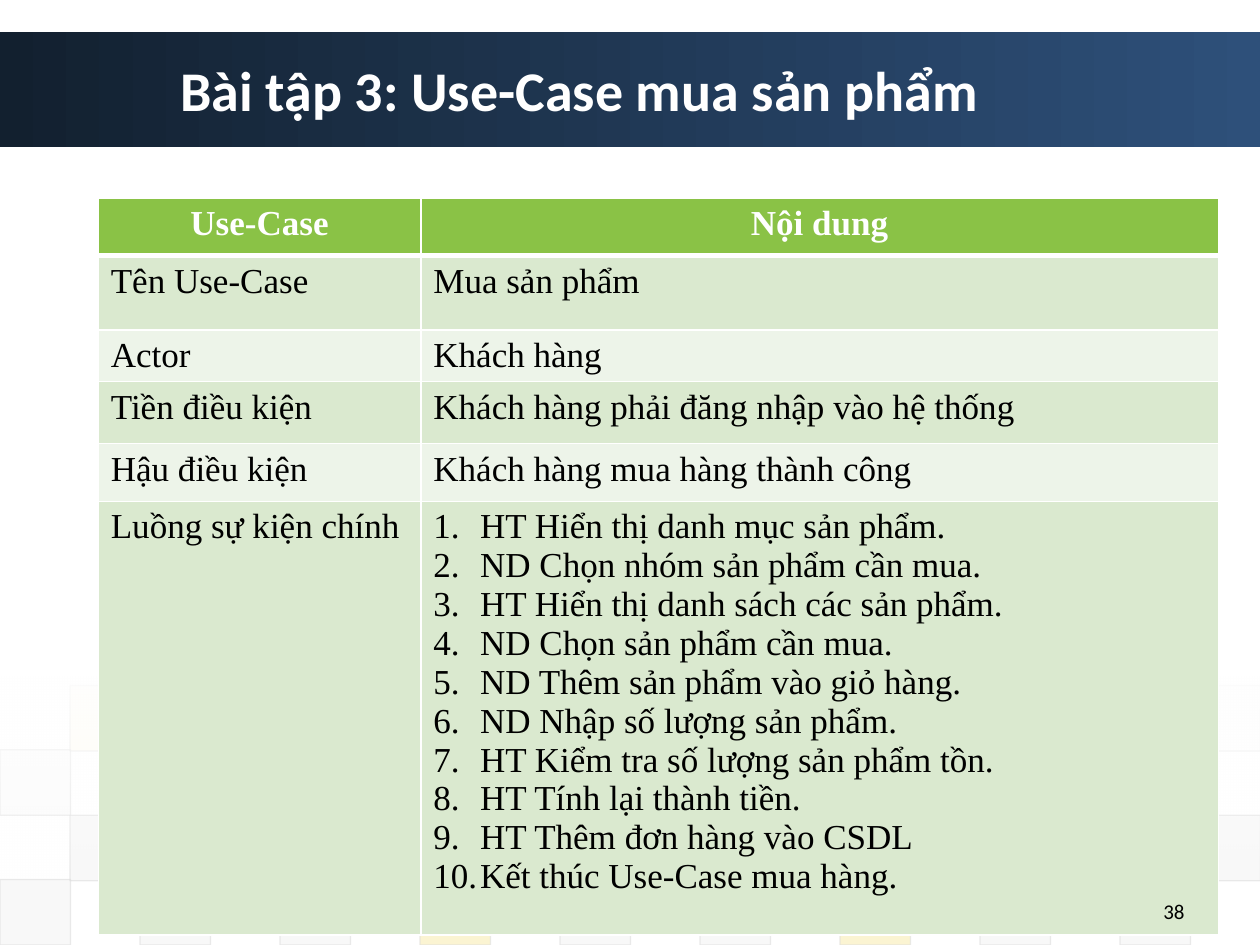
from lxml import etree
from pptx import Presentation
from pptx import util as u
from pptx.dml.color import RGBColor
from pptx.enum import shapes, text
from pptx.oxml import ns

NAVY = RGBColor(0x12, 0x20, 0x2F)
BLUE = RGBColor(0x2E, 0x50, 0x7A)
WHITE = RGBColor(0xFF, 0xFF, 0xFF)
BLACK = RGBColor(0, 0, 0)
GREEN = RGBColor(0x8A, 0xC2, 0x46)
YELLOW = RGBColor(0xEF, 0xC8, 0x21)
GREY = RGBColor(0xDD, 0xDD, 0xDD)
PALE = RGBColor(0xEA, 0xEA, 0xEA)
BAND_DARK = RGBColor(0xDA, 0xE9, 0xCF)
BAND_LIGHT = RGBColor(0xED, 0xF4, 0xE9)

TILE_COLORS = {"D": GREY, "E": PALE, "G": GREEN, "Y": YELLOW}
TILE_ROWS = [
    (5.44, 1, 5, "YEEYDYEGE"),
    (5.95, 0, 10, "DDDDGDDDY"),
    (6.47, 1, 20, "DGDDDDGDD"),
    (6.98, 0, 20, "DDDYDDYDD"),
]
STEPS = [
    "HT Hiển thị danh mục sản phẩm.",
    "ND Chọn nhóm sản phẩm cần mua.",
    "HT Hiển thị danh sách các sản phẩm.",
    "ND Chọn sản phẩm cần mua.",
    "ND Thêm sản phẩm vào giỏ hàng.",
    "ND Nhập số lượng sản phẩm.",
    "HT Kiểm tra số lượng sản phẩm tồn.",
    "HT Tính lại thành tiền.",
    "HT Thêm đơn hàng vào CSDL",
    "Kết thúc Use-Case mua hàng.",
]
USE_CASE = [
    ("Use-Case", ["Nội dung"]),
    ("Tên Use-Case", ["Mua sản phẩm"]),
    ("Actor", ["Khách hàng"]),
    ("Tiền điều kiện", ["Khách hàng phải đăng nhập vào hệ thống"]),
    ("Hậu điều kiện", ["Khách hàng mua hàng thành công"]),
    ("Luồng sự kiện chính", STEPS),
]
COL_WIDTHS = [2.56, 6.33]
ROW_HEIGHTS = [0.46, 0.59, 0.41, 0.49, 0.46, 3.44]


class Deck:
    """Style and current slide, with a method for each kind of element."""

    heading = {"name": "Calibri", "size": u.Pt(32), "bold": True}
    header = {"name": "Times New Roman", "size": u.Pt(20), "bold": True}
    body = {"name": "Times New Roman", "size": u.Pt(20), "bold": False}
    small = {"name": "Calibri", "size": u.Pt(12), "bold": False}

    def __init__(self, prs):
        self.s = prs.slides.add_slide(prs.slide_layouts[5])

    def add_words(self, p, words, style, color, align=text.PP_ALIGN.LEFT):
        p.alignment = align
        r = p.add_run()
        r.text = words
        for key, value in style.items():
            setattr(r.font, key, value)
        r.font.color.rgb = color

    def rect(self, *box):
        sp = self.s.shapes.add_shape(shapes.MSO_SHAPE.RECTANGLE, *map(u.Inches, box))
        sp.shadow.inherit = False
        sp.line.fill.background()
        return sp

    def fade(self, sp, *alphas):
        for clr, alpha in zip(sp.element.iter(ns.qn("a:srgbClr")), alphas):
            etree.SubElement(clr, ns.qn("a:alpha"), val=str(alpha * 1000))

    def gradient(self, box, colors, angle):
        sp = self.rect(*box)
        sp.fill.gradient()
        sp.fill.gradient_angle = angle
        for stop, color in zip(sp.fill.gradient_stops, colors):
            stop.color.rgb = color
        return sp

    def tile(self, left, top, color, alpha):
        sp = self.rect(left, top, 0.56, 0.52)
        sp.fill.solid()
        sp.fill.fore_color.rgb = color
        sp.line.color.rgb = GREY
        sp.line.width = u.Pt(0.75)
        self.fade(sp, alpha, 60)

    def title(self, words, *box):
        sp = self.s.shapes.title
        sp.left, sp.top, sp.width, sp.height = map(u.Inches, box)
        self.s.shapes.element.append(sp.element)
        tf = sp.text_frame
        tf.vertical_anchor = text.MSO_ANCHOR.MIDDLE
        self.add_words(tf.paragraphs[0], words, self.heading, WHITE)

    def label(self, words, *box):
        tf = self.s.shapes.add_textbox(*map(u.Inches, box)).text_frame
        tf.word_wrap = True
        tf.vertical_anchor = text.MSO_ANCHOR.MIDDLE
        self.add_words(tf.paragraphs[0], words, self.small, BLACK, text.PP_ALIGN.RIGHT)

    def number(self, p):
        pPr = p._p.get_or_add_pPr()
        pPr.set("marL", str(u.Inches(0.37)))
        pPr.set("indent", str(u.Inches(-0.37)))
        etree.SubElement(pPr, ns.qn("a:buAutoNum"), type="arabicPeriod")

    def borders(self, cell, top, bottom):
        tcPr = cell._tc.get_or_add_tcPr()
        for side, width in zip("LRTB", (1, 1, top, bottom)):
            ln = etree.SubElement(tcPr, ns.qn(f"a:ln{side}"), w=str(u.Pt(width)))
            fill = etree.SubElement(ln, ns.qn("a:solidFill"))
            etree.SubElement(fill, ns.qn("a:srgbClr"), val=str(WHITE))

    def cell(self, cell, lines, row):
        self.borders(cell, 3 if row == 1 else 1, 3 if row == 0 else 1)
        cell.fill.solid()
        cell.fill.fore_color.rgb = (BAND_DARK if row % 2 else BAND_LIGHT) if row else GREEN
        tf = cell.text_frame
        for i, line in enumerate(lines):
            p = tf.add_paragraph() if i else tf.paragraphs[0]
            if row:
                self.add_words(p, line, self.body, BLACK)
            else:
                self.add_words(p, line, self.header, WHITE, text.PP_ALIGN.CENTER)
            if len(lines) > 1:
                self.number(p)

    def table(self, rows, left, top, widths, heights):
        box = map(u.Inches, (left, top, sum(widths), sum(heights)))
        table = self.s.shapes.add_table(len(rows), len(widths), *box).table
        for column, width in zip(table.columns, widths):
            column.width = u.Inches(width)
        for i, (name, lines) in enumerate(rows):
            table.rows[i].height = u.Inches(heights[i])
            self.cell(table.cell(i, 0), [name], i)
            self.cell(table.cell(i, 1), lines, i)


def main():
    prs = Presentation()
    prs.slide_width, prs.slide_height = u.Inches(10), u.Inches(7.5)
    deck = Deck(prs)
    deck.gradient((0, 0.25, 10, 0.92), (NAVY, BLUE), 0)
    for top, start, alpha, row in TILE_ROWS:
        for i, key in enumerate(row):
            deck.tile((start + 2 * i) * 5 / 9, top, TILE_COLORS[key], alpha)
    veil = deck.gradient((0, 5.37, 10, 1.62), (WHITE, WHITE), 270)
    deck.fade(veil, 90, 0)
    deck.title("Bài tập 3: Use-Case mua sản phẩm", 1.33, 0.25, 8.65, 0.92)
    deck.table(USE_CASE, 0.78, 1.57, COL_WIDTHS, ROW_HEIGHTS)
    deck.label("38", 7.17, 7.07, 2.33, 0.33)
    prs.save("out.pptx")


if __name__ == "__main__":
    main()
